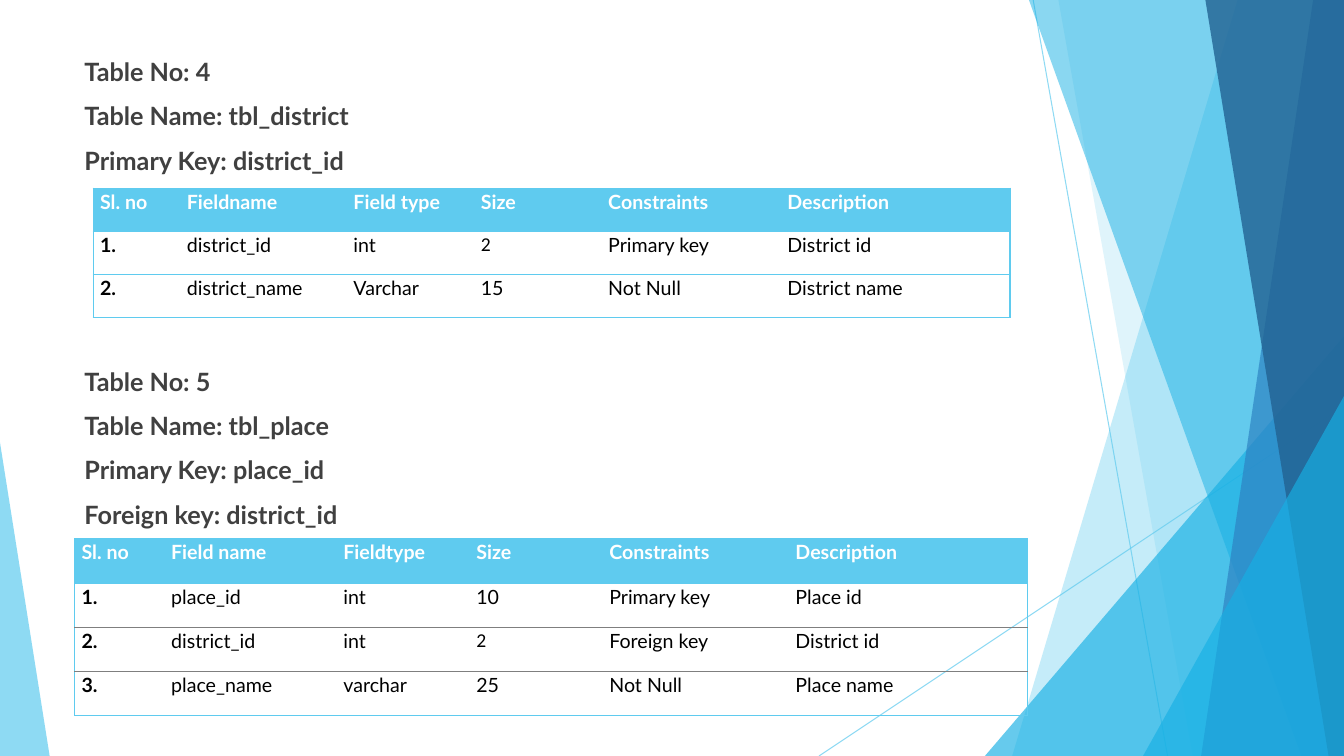
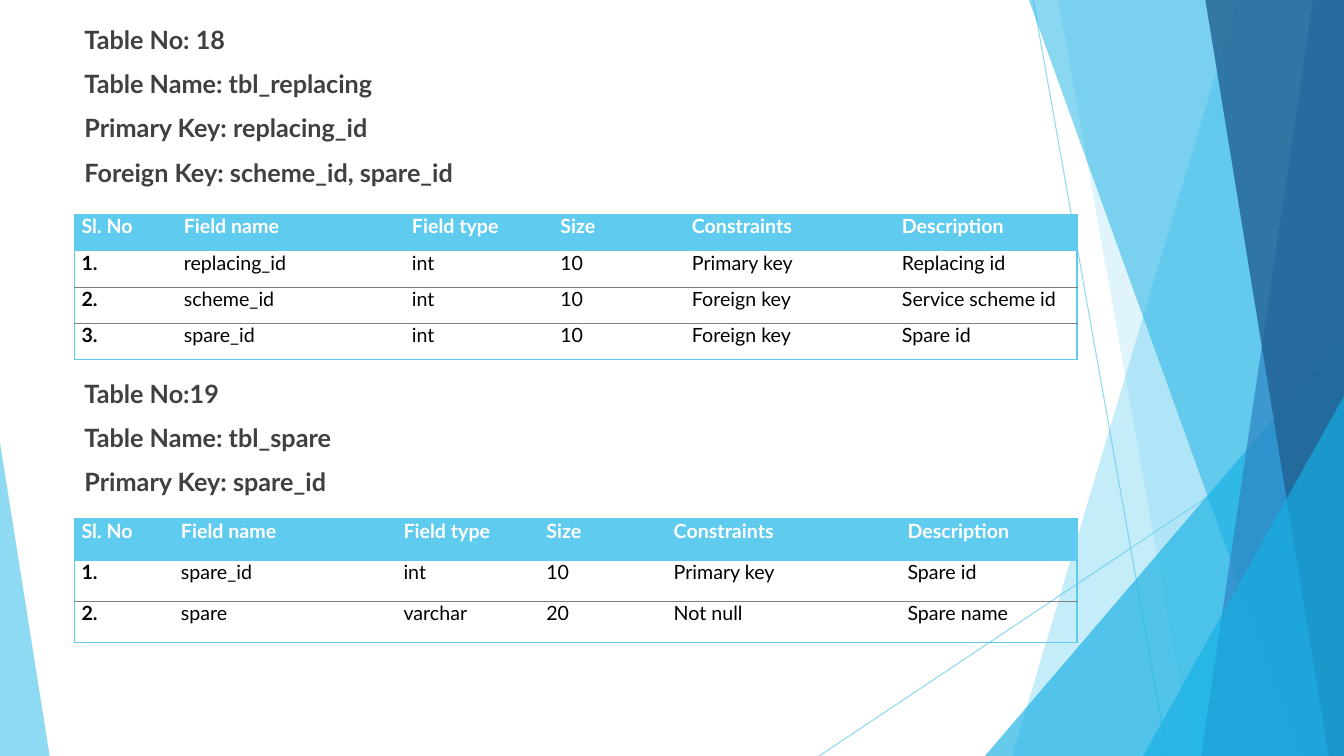
"""Build two slides of database table designs over a faceted blue backdrop."""
from dataclasses import dataclass

from lxml.etree import SubElement
from pptx import Presentation
from pptx.dml.color import RGBColor as Rgb
from pptx.enum.shapes import MSO_CONNECTOR as Link, MSO_SHAPE as Shape
from pptx.enum.text import PP_ALIGN as Align
from pptx.oxml.ns import qn
from pptx.util import Pt


@dataclass(frozen=True)
class Theme:
    sky: str = "5FCBEF"
    cyan: str = "17B0E4"
    blue: str = "2E83C3"
    navy: str = "226292"
    ink: str = "404040"
    black: str = "000000"
    white: str = "FFFFFF"
    grey: str = "7F7F7F"
    font: str = "Lato"
    digit: str = "Calibri"
    head: float = 18
    cell: float = 14
    rule: float = 1
    hair: float = 0.5


def write(frame, *lines, size, color, bold=False, font="Lato",
          align=Align.LEFT, gap=0, pitch=None):
    """Fill a text frame with one paragraph per line."""
    frame.word_wrap = True
    for num, line in enumerate(lines):
        para = frame.paragraphs[0] if num == 0 else frame.add_paragraph()
        para.alignment = align
        para.line_spacing = pitch
        if num:
            para.space_before = Pt(gap)
        run = para.add_run()
        run.text = line
        run.font.name = font
        run.font.size = Pt(size)
        run.font.bold = bold
        run.font.color.rgb = Rgb.from_string(color)


def fade(part, alpha):
    """Make every set colour of a shape or line see-through."""
    for color in part.element.spPr.iter(qn("a:srgbClr")):
        SubElement(color, qn("a:alpha"), val=str(alpha * 1000))


look = Theme()
wide, high = 960, 540
deck = Presentation()
deck.slide_width, deck.slide_height = Pt(wide), Pt(high)
blank = deck.slide_layouts[6]
first = deck.slides.add_slide(blank)
second = deck.slides.add_slide(blank)
base = blank.shapes.element

for x1, y1, x2, y2 in [(738, 0, 834, high), (wide, 290, 585, high)]:
    line = first.shapes.add_connector(Link.STRAIGHT, Pt(x1), Pt(y1), Pt(x2), Pt(y2))
    line.line.color.rgb = Rgb.from_string(look.sky)
    line.line.width = Pt(0.75)
    fade(line, 70)
    SubElement(line.element.spPr, qn("a:effectLst"))
    base.append(line.element)

facets = [
    ("band", (884, 723), look.sky, 36),
    ("band", (756, 852), look.sky, 20),
    ("peak", (703.5, 240, 256.5, 1), look.cyan, 66),
    ("band", (735, 929.5), look.cyan, 50),
    ("band", (938, 858), look.blue, 70),
    ("band", (861, 949), look.navy, 80),
    ("peak", (816.5, 283, 143.5, 1), look.cyan, 66),
    ("peak", (0, 316, 35.5, 0), look.sky, 70),
]
for kind, dims, color, alpha in facets:
    if kind == "band":
        top, foot = dims
        pen = first.shapes.build_freeform(Pt(top), 0)
        pen.add_line_segments([(Pt(wide), 0), (Pt(wide), Pt(high)), (Pt(foot), Pt(high))])
        facet = pen.convert_to_shape()
    else:
        left, top, width, tip = dims
        facet = first.shapes.add_shape(
            Shape.ISOSCELES_TRIANGLE, Pt(left), Pt(top), Pt(width), Pt(high - top))
        facet.adjustments[0] = tip
    facet.shadow.inherit = False
    facet.fill.solid()
    facet.fill.fore_color.rgb = Rgb.from_string(color)
    facet.line.fill.background()
    fade(facet, alpha)
    base.append(facet.element)

heads = [
    (first, 36.7, 704, Align.JUSTIFY,
     ["Table No: 4", "Table Name: tbl_district", "Primary Key: district_id"]),
    (first, 258, 704, Align.JUSTIFY,
     ["Table No: 5", "Table Name: tbl_place", "Primary Key: place_id",
      "Foreign key: district_id"]),
    (second, 13.7, 795, Align.LEFT,
     ["Table No: 18", "Table Name: tbl_replacing", "Primary Key: replacing_id",
      "Foreign Key: scheme_id, spare_id"]),
    (second, 266.5, 795, Align.LEFT,
     ["Table No:19", "Table Name: tbl_spare", "Primary Key: spare_id"]),
]
for slide, top, width, align, lines in heads:
    box = slide.shapes.add_textbox(Pt(53.3), Pt(top), Pt(width), Pt(31.6 * len(lines)))
    write(box.text_frame, *lines, size=look.head, color=look.ink, bold=True,
          font=look.font, align=align, gap=10)

grids = [
    (first, 66.5, 134.5, 30.7, 1.07, (look.sky, look.rule), [62, 119, 91, 91, 128, 164], [
        ["Sl. no", "Fieldname", "Field type", "Size", "Constraints", "Description"],
        ["1.", "district_id", "int", "2", "Primary key", "District id"],
        ["2.", "district_name", "Varchar", "15", "Not Null", "District name"]]),
    (first, 53.3, 385, 31.5, 1.07, (look.grey, look.hair), [64, 123, 95, 95, 133, 171], [
        ["Sl. no", "Field name", "Fieldtype", "Size", "Constraints", "Description"],
        ["1.", "place_id", "int", "10", "Primary key", "Place id"],
        ["2.", "district_id", "int", "2", "Foreign key", "District id"],
        ["3.", "place_name", "varchar", "25", "Not Null", "Place name"]]),
    (second, 53.3, 153.2, 25.9, 1, (look.grey, look.hair), [73, 163, 106, 94, 150, 130], [
        ["Sl. No", "Field name", "Field type", "Size", "Constraints", "Description"],
        ["1.", "replacing_id", "int", "10", "Primary key", "Replacing id"],
        ["2.", "scheme_id", "int", "10", "Foreign key", "Service scheme id"],
        ["3.", "spare_id", "int", "10", "Foreign key", "Spare id"]]),
    (second, 53.3, 370.5, 29.5, 1, (look.grey, look.hair), [71, 159, 102, 91, 167, 126], [
        ["Sl. No", "Field name", "Field type", "Size", "Constraints", "Description"],
        ["1.", "spare_id", "int", "10", "Primary key", "Spare id"],
        ["2.", "spare", "varchar", "20", "Not null", "Spare name"]]),
]
for slide, left, top, step, pitch, inner, widths, rows in grids:
    table = slide.shapes.add_table(
        len(rows), len(widths), Pt(left), Pt(top),
        Pt(sum(widths)), Pt(step * len(rows))).table
    table.horz_banding = False
    style = next(table._tbl.iter(qn("a:tableStyleId")))
    style.text = "{2D5ABB26-0587-4C30-8999-92F81FD0307C}"
    for col, width in zip(table.columns, widths):
        col.width = Pt(width)
    outer = (look.sky, look.rule)
    last = len(rows) - 1
    for r, row in enumerate(rows):
        table.rows[r].height = Pt(step)
        for c, text in enumerate(row):
            cell = table.cell(r, c)
            cell.margin_left = cell.margin_right = Pt(5)
            cell.margin_top = cell.margin_bottom = 0
            edges = {
                "L": outer if c == 0 else None,
                "R": outer if c == len(row) - 1 else None,
                "T": outer if r < 2 else inner,
                "B": outer if r in (0, last) else inner,
            }
            props = cell._tc.get_or_add_tcPr()
            for side, edge in edges.items():
                if edge:
                    color, weight = edge
                    rule = SubElement(props, qn(f"a:ln{side}"), w=str(Pt(weight)))
                    solid = SubElement(rule, qn("a:solidFill"))
                    SubElement(solid, qn("a:srgbClr"), val=color)
            if r == 0:
                cell.fill.solid()
                cell.fill.fore_color.rgb = Rgb.from_string(look.sky)
            else:
                cell.fill.background()
            write(cell.text_frame, text, size=look.cell,
                  color=look.black if r else look.white, bold=r == 0 or c == 0,
                  font=look.digit if text == "2" else look.font,
                  align=Align.JUSTIFY if r or slide is second else Align.LEFT,
                  pitch=pitch)

deck.save("out.pptx")
